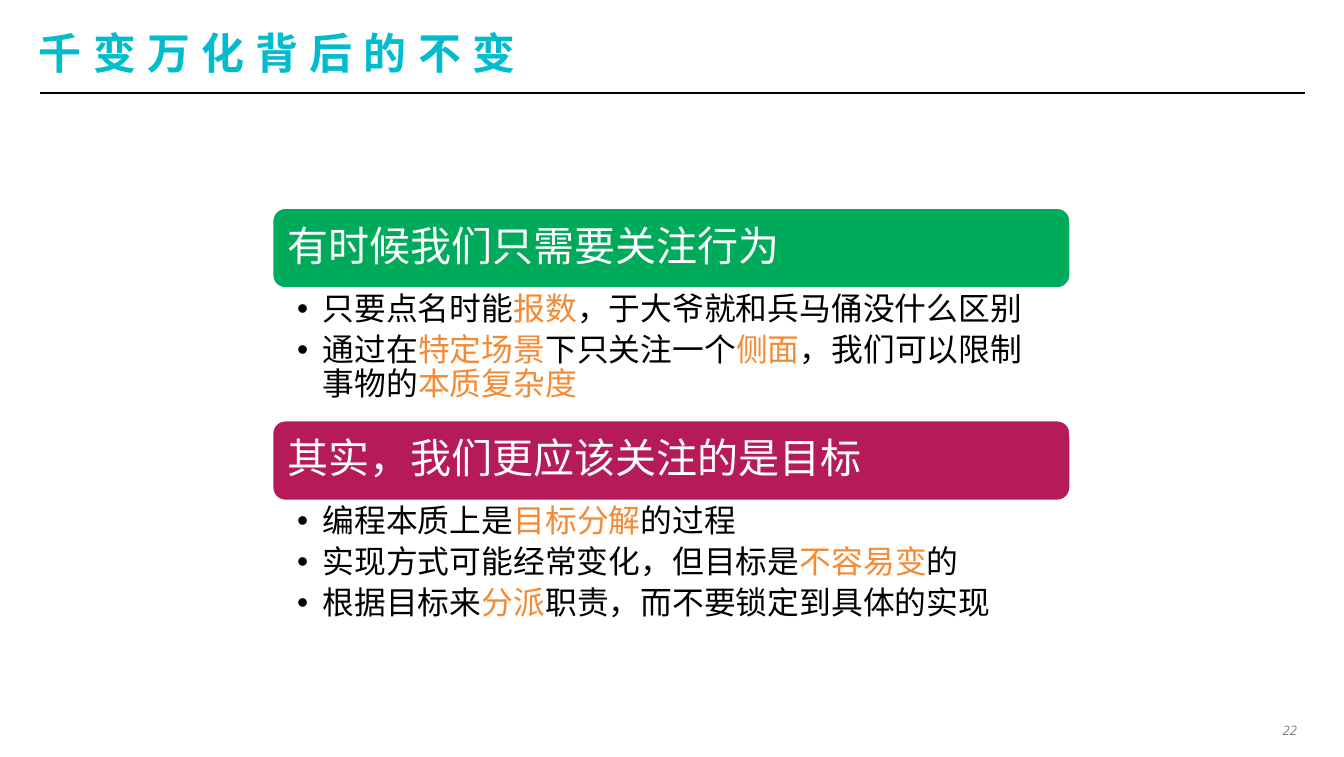
from lxml import etree
from pptx import Presentation
from pptx.dml.color import RGBColor
from pptx.enum.shapes import MSO_CONNECTOR, MSO_SHAPE
from pptx.enum.text import MSO_ANCHOR, PP_ALIGN
from pptx.oxml.ns import qn
from pptx.util import Pt

ROUNDED = MSO_SHAPE.ROUNDED_RECTANGLE
STRAIGHT = MSO_CONNECTOR.STRAIGHT
TOP, MIDDLE = MSO_ANCHOR.TOP, MSO_ANCHOR.MIDDLE
LEFT, RIGHT = PP_ALIGN.LEFT, PP_ALIGN.RIGHT

TITLE = "千变万化背后的不变"
PAGE_NUMBER = "22"
SECTIONS = [
    {
        "heading": "有时候我们只需要关注行为",
        "color": "00AA5B",
        "body_height": 97,
        "points": [
            ["只要点名时能", "报数", "，于大爷就和兵马俑没什么区别"],
            ["通过在", "特定场景", "下只关注一个", "侧面", "，我们可以限制事物的", "本质复杂度"],
        ],
    },
    {
        "heading": "其实，我们更应该关注的是目标",
        "color": "B51B58",
        "body_height": 102,
        "points": [
            ["编程本质上是", "目标分解", "的过程"],
            ["实现方式可能经常变化，但目标是", "不容易变", "的"],
            ["根据目标来", "分派", "职责，而不要锁定到具体的实现"],
        ],
    },
]

PX = 9144
SLIDE_WIDTH, SLIDE_HEIGHT = 1000, 563
SECTION_LEFT, SECTION_TOP, SECTION_WIDTH = 202, 154, 595
HEADING_HEIGHT = 61
BULLET_INDENT = 19
EAST_ASIAN_FONT = "Noto Sans CJK JP"
WHITE, BLACK, ACCENT = "FFFFFF", "000000", "F58A33"
TITLE_FONT = {"name": EAST_ASIAN_FONT, "size": Pt(23), "bold": True}
PAGE_FONT = {"name": "Open Sans", "size": Pt(7), "italic": True}
HEADING_FONT = {"name": "Arial", "size": Pt(22)}
BODY_FONT = {"name": "Arial", "size": Pt(17)}
HEADING_FORMAT = {"line_spacing": 0.9}
BODY_FORMAT = {"line_spacing": 0.9, "space_after": Pt(3.4)}


def px(value):
    return round(value * PX)


def rgb(value):
    return RGBColor.from_string(value)


def set_attributes(target, values):
    for name, value in values.items():
        setattr(target, name, value)


def set_frame(shape, insets, anchor=TOP):
    frame = shape.text_frame
    sides = ("margin_left", "margin_top", "margin_right", "margin_bottom")
    set_attributes(frame, dict(zip(sides, map(px, insets))))
    set_attributes(frame, {"vertical_anchor": anchor, "word_wrap": True})
    return frame


def add_run(paragraph, text, font, color):
    run = paragraph.add_run()
    run.text = text
    set_attributes(run.font, font)
    run.font.color.rgb = rgb(color)
    properties = run.font._element
    properties.set("lang", "zh-CN")
    etree.SubElement(properties, qn("a:ea"), typeface=EAST_ASIAN_FONT)
    return run


def add_text_box(slide, box, insets, anchor=TOP):
    shape = slide.shapes.add_textbox(*map(px, box))
    return set_frame(shape, insets, anchor)


def add_bullet(paragraph):
    properties = paragraph._p.get_or_add_pPr()
    properties.set("marL", str(px(BULLET_INDENT)))
    properties.set("indent", str(-px(BULLET_INDENT)))
    etree.SubElement(properties, qn("a:buFont"), typeface="Arial")
    etree.SubElement(properties, qn("a:buChar"), char="•")


def add_title(slide):
    line = slide.shapes.add_connector(STRAIGHT, px(30), px(69), px(971), px(69))
    line.line.color.rgb = rgb(BLACK)
    line.line.width = Pt(1)
    etree.SubElement(line._element.spPr, qn("a:effectLst"))
    frame = add_text_box(slide, (29, 18, 941, 42), (0, 0, 0, 0), MIDDLE)
    run = add_run(frame.paragraphs[0], TITLE, TITLE_FONT, "00BCCD")
    run.font._element.set("spc", "600")


def add_page_number(slide):
    frame = add_text_box(slide, (940, 534, 31, 17), (0, 3, 6, 3))
    paragraph = frame.paragraphs[0]
    paragraph.alignment = RIGHT
    add_run(paragraph, PAGE_NUMBER, PAGE_FONT, "808184")


def add_heading(slide, section, top):
    box = (SECTION_LEFT, top, SECTION_WIDTH, HEADING_HEIGHT)
    shape = slide.shapes.add_shape(ROUNDED, *map(px, box))
    shape.shadow.inherit = False
    shape.fill.solid()
    shape.fill.fore_color.rgb = rgb(section["color"])
    shape.line.color.rgb = rgb(WHITE)
    shape.line.width = Pt(2)
    frame = set_frame(shape, (9, 12, 9, 12), MIDDLE)
    paragraph = frame.paragraphs[0]
    paragraph.alignment = LEFT
    set_attributes(paragraph, HEADING_FORMAT)
    add_run(paragraph, section["heading"], HEADING_FONT, WHITE)


def add_points(slide, section, top):
    box = (SECTION_LEFT, top, SECTION_WIDTH, section["body_height"])
    frame = add_text_box(slide, box, (19, 3, 17, 3))
    for index, parts in enumerate(section["points"]):
        paragraph = frame.add_paragraph() if index else frame.paragraphs[0]
        paragraph.level = 1
        set_attributes(paragraph, BODY_FORMAT)
        add_bullet(paragraph)
        for position, text in enumerate(parts):
            add_run(paragraph, text, BODY_FONT, ACCENT if position % 2 else BLACK)


def main():
    presentation = Presentation()
    presentation.slide_width = px(SLIDE_WIDTH)
    presentation.slide_height = px(SLIDE_HEIGHT)
    slide = presentation.slides.add_slide(presentation.slide_layouts[6])
    add_title(slide)
    add_page_number(slide)
    top = SECTION_TOP
    for section in SECTIONS:
        add_heading(slide, section, top)
        top += HEADING_HEIGHT
        add_points(slide, section, top)
        top += section["body_height"]
    presentation.save("out.pptx")


if __name__ == "__main__":
    main()
